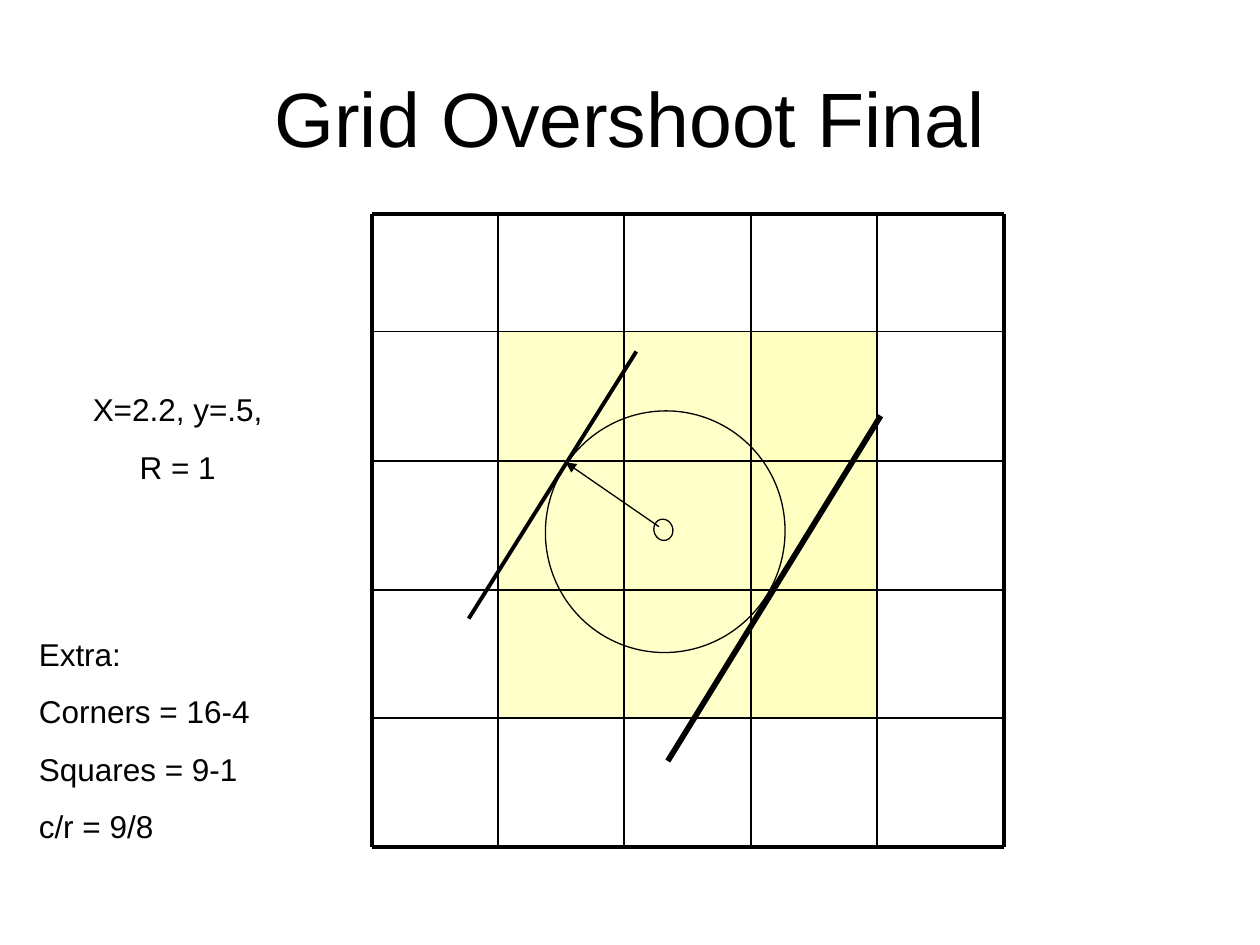
from lxml import etree
from pptx import Presentation
from pptx.dml.color import RGBColor
from pptx.enum.shapes import MSO_CONNECTOR, MSO_SHAPE
from pptx.enum.text import MSO_ANCHOR, PP_ALIGN
from pptx.oxml.ns import qn
from pptx.util import Inches, Pt

STRAIGHT = MSO_CONNECTOR.STRAIGHT
RECTANGLE, OVAL = MSO_SHAPE.RECTANGLE, MSO_SHAPE.OVAL
LEFT, CENTER = PP_ALIGN.LEFT, PP_ALIGN.CENTER
TOP, MIDDLE = MSO_ANCHOR.TOP, MSO_ANCHOR.MIDDLE

COLORS = {"ink": "000000", "covered": "FFFF66", "background": "FFFFFF"}
FONT = "Arial"
THIN, GRID, BORDER, HEAVY = 0.75, 1, 2.25, 3.25

COLUMN_EDGES = [2.95, 3.95, 4.95, 5.96, 6.96, 7.97]
ROW_EDGES = [1.7, 2.63, 3.66, 4.68, 5.7, 6.72]
COVERED = range(1, 4)


def color(name):
    return RGBColor.from_string(COLORS[name])


class SlideBuilder:
    """Holds the drawing style and the slide being filled."""

    def __init__(self, slide):
        self.slide = slide
        background = slide.background.fill
        background.solid()
        background.fore_color.rgb = color("background")

    def text(self, box, lines, size, align=LEFT, anchor=TOP, space_before=0):
        shape = self.slide.shapes.add_textbox(*map(Inches, box))
        frame = shape.text_frame
        frame.word_wrap = True
        frame.vertical_anchor = anchor
        for index, line in enumerate(lines):
            paragraph = frame.add_paragraph() if index else frame.paragraphs[0]
            paragraph.alignment = align
            paragraph.space_before = Pt(space_before)
            run = paragraph.add_run()
            run.text = line
            run.font.name = FONT
            run.font.size = Pt(size)
            run.font.color.rgb = color("ink")

    def covered_cell(self, box, opacity):
        shape = self.slide.shapes.add_shape(RECTANGLE, *map(Inches, box))
        shape.shadow.inherit = False
        shape.line.fill.background()
        shape.fill.solid()
        shape.fill.fore_color.rgb = color("covered")
        fill_color = shape.fill._xPr.find(qn("a:solidFill"))[0]
        etree.SubElement(fill_color, qn("a:alpha"), val=str(opacity * 1000))

    def circle(self, box, rotation):
        shape = self.slide.shapes.add_shape(OVAL, *map(Inches, box))
        shape.shadow.inherit = False
        shape.rotation = rotation
        shape.fill.background()
        shape.line.color.rgb = color("ink")
        shape.line.width = Pt(THIN)

    def line(self, start, end, width, arrow=False):
        connector = self.slide.shapes.add_connector(
            STRAIGHT, *map(Inches, (*start, *end)))
        connector.line.color.rgb = color("ink")
        connector.line.width = Pt(width)
        properties = connector._element.spPr
        if arrow:
            etree.SubElement(properties.find(qn("a:ln")), qn("a:tailEnd"),
                             type="triangle")
        etree.SubElement(properties, qn("a:effectLst"))

    def grid(self):
        """Shade the covered cells, then rule the grid with a bold border."""
        for row in COVERED:
            for column in COVERED:
                left, right = COLUMN_EDGES[column:column + 2]
                top, bottom = ROW_EDGES[row:row + 2]
                opacity = 40 if column == COVERED[-1] else 35
                self.covered_cell((left, top, right - left, bottom - top), opacity)
        left, right = COLUMN_EDGES[0], COLUMN_EDGES[-1]
        top, bottom = ROW_EDGES[0], ROW_EDGES[-1]
        for y in ROW_EDGES:
            self.line((left, y), (right, y), BORDER if y in (top, bottom) else GRID)
        for x in COLUMN_EDGES:
            self.line((x, top), (x, bottom), BORDER if x in (left, right) else GRID)


def main():
    presentation = Presentation()
    presentation.slide_width = Inches(10)
    presentation.slide_height = Inches(7.5)
    builder = SlideBuilder(
        presentation.slides.add_slide(presentation.slide_layouts[6]))

    builder.text((0.5, 0.3, 9, 1.25), ["Grid Overshoot Final"], 44, CENTER, MIDDLE)
    builder.grid()

    builder.line((5.05, 2.79), (3.72, 4.91), BORDER)
    builder.circle((4.32, 3.27, 1.92, 1.9), 288.9)
    builder.line((5.23, 4.18), (4.49, 3.67), THIN, arrow=True)
    builder.line((6.99, 3.3), (5.3, 6.04), HEAVY)
    builder.circle((5.19, 4.12, 0.15, 0.17), 344.3)

    builder.text((0.6, 3.05, 1.62, 0.86), ["X=2.2, y=.5,", "R = 1"], 18,
                 CENTER, space_before=11.2)
    builder.text((0.21, 4.99, 2.66, 2.23),
                 ["Extra:", "Corners = 16-4", "Squares = 9-1", "c/r = 9/8"], 18,
                 space_before=11.2)

    presentation.save("out.pptx")


if __name__ == "__main__":
    main()
